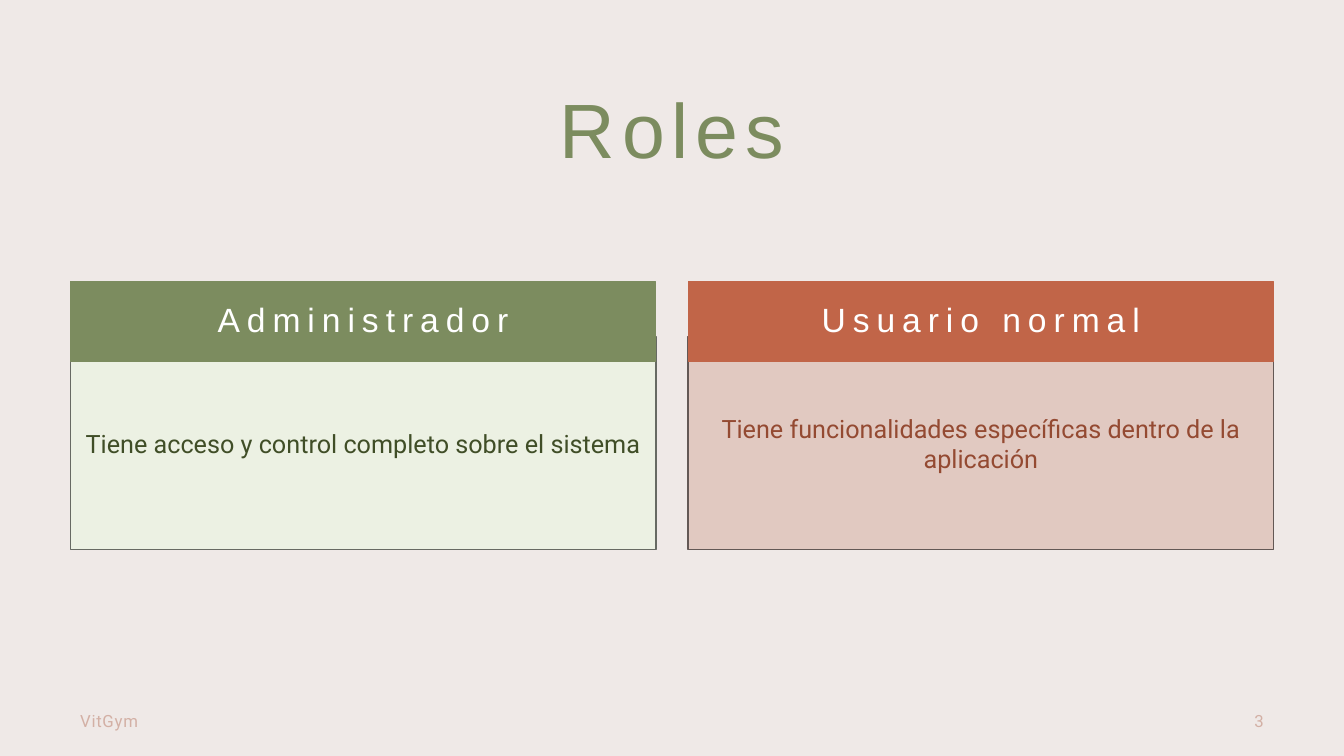
from dataclasses import dataclass

from pptx import Presentation
from pptx.dml.color import RGBColor
from pptx.enum.shapes import MSO_SHAPE as Preset
from pptx.enum.text import MSO_ANCHOR as Anchor, PP_ALIGN as Align
from pptx.util import Pt


@dataclass(frozen=True)
class Theme:
    """Colours, fonts and type sizes of the slide."""
    background: str = "EFE9E7"
    green: str = "7C8C5F"
    green_tint: str = "ECF1E3"
    green_edge: str = "676A63"
    green_text: str = "404E27"
    rust: str = "C16548"
    rust_tint: str = "E1C9C1"
    rust_edge: str = "635855"
    rust_text: str = "944A32"
    white: str = "FFFFFF"
    footer: str = "D3B0A5"
    heading_font: str = "Arial"
    body_font: str = "Roboto"
    title_size: int = 55
    header_size: int = 24
    body_size: int = 18
    footer_size: int = 12


class SlideBuilder:
    """Draws styled elements on the current slide."""

    def __init__(self, slide, theme):
        """Keep the slide and theme, and paint the background."""
        self.slide, self.theme = slide, theme
        fill = slide.background.fill
        fill.solid()
        fill.fore_color.rgb = RGBColor.from_string(theme.background)

    def add_text(self, frame, text, size, color, font, align=Align.CENTER,
                 anchor=Anchor.MIDDLE, tracking=0):
        """Set one run of text in a frame and return its paragraph."""
        frame.word_wrap = True
        frame.vertical_anchor = anchor
        paragraph = frame.paragraphs[0]
        paragraph.alignment = align
        run = paragraph.add_run()
        run.text = text
        run.font.size = Pt(size)
        run.font.name = font
        run.font.color.rgb = RGBColor.from_string(color)
        if tracking:
            run.font._element.set("spc", str(int(tracking * 100)))
        return paragraph

    def add_heading(self, frame, text, size, color, anchor):
        """Set widely tracked heading text without insets."""
        frame.margin_left = frame.margin_right = 0
        frame.margin_top = frame.margin_bottom = 0
        paragraph = self.add_text(frame, text, size, color,
                                  self.theme.heading_font, anchor=anchor,
                                  tracking=5)
        paragraph.line_spacing = 0.9
        return paragraph

    def textbox(self, box):
        """Add an empty text box and return its frame."""
        return self.slide.shapes.add_textbox(*map(Pt, box)).text_frame

    def panel(self, box, fill, edge, weight):
        """Add a filled rectangle and return its text frame."""
        panel = self.slide.shapes.add_shape(Preset.RECTANGLE, *map(Pt, box))
        panel.shadow.inherit = False
        panel.fill.solid()
        panel.fill.fore_color.rgb = RGBColor.from_string(fill)
        panel.line.color.rgb = RGBColor.from_string(edge)
        panel.line.width = Pt(weight)
        return panel.text_frame

    def title(self, box, text):
        """Add the slide title."""
        self.add_heading(self.textbox(box), text, self.theme.title_size,
                         self.theme.green, Anchor.TOP)

    def description(self, box, text, fill, edge, color):
        """Add the tinted panel that describes a role."""
        self.add_text(self.panel(box, fill, edge, 1), text,
                      self.theme.body_size, color, self.theme.body_font)

    def header(self, box, text, fill):
        """Add the solid band that names a role."""
        paragraph = self.add_heading(self.panel(box, fill, fill, 0.75), text,
                                     self.theme.header_size, self.theme.white,
                                     Anchor.MIDDLE)
        paragraph.space_before = Pt(10)

    def footer(self, box, text, align):
        """Add a small footer entry."""
        self.add_text(self.textbox(box), text, self.theme.footer_size,
                      self.theme.footer, self.theme.body_font, align,
                      tracking=0.5)


def main():
    """Build the roles slide and save it."""
    deck = Presentation()
    deck.slide_width, deck.slide_height = Pt(960), Pt(540)
    theme = Theme()
    builder = SlideBuilder(deck.slides.add_slide(deck.slide_layouts[6]), theme)

    margin, content_width, gap = 50.2, 859.6, 23
    role_width = (content_width - gap) / 2
    roles = [
        ("Administrador", "Tiene acceso y control completo sobre el sistema",
         theme.green, theme.green_tint, theme.green_edge, theme.green_text),
        ("Usuario normal",
         "Tiene funcionalidades específicas dentro de la aplicación",
         theme.rust, theme.rust_tint, theme.rust_edge, theme.rust_text),
    ]

    builder.title((margin, 65.5, content_width, 79.2), "Roles")
    for column, (name, duty, solid, tint, edge, ink) in enumerate(roles):
        left = margin + column * (role_width + gap)
        builder.description((left, 240.5, role_width, 152), duty, tint, edge, ink)
        builder.header((left, 201.4, role_width, 57), name, solid)

    footer_top, footer_height, number_width = 500.4, 28.8, 216
    builder.footer((margin, footer_top, 324, footer_height), "VitGym", Align.LEFT)
    number_left = margin + content_width - number_width
    builder.footer((number_left, footer_top, number_width, footer_height), "3",
                   Align.RIGHT)
    deck.save("out.pptx")


main()
